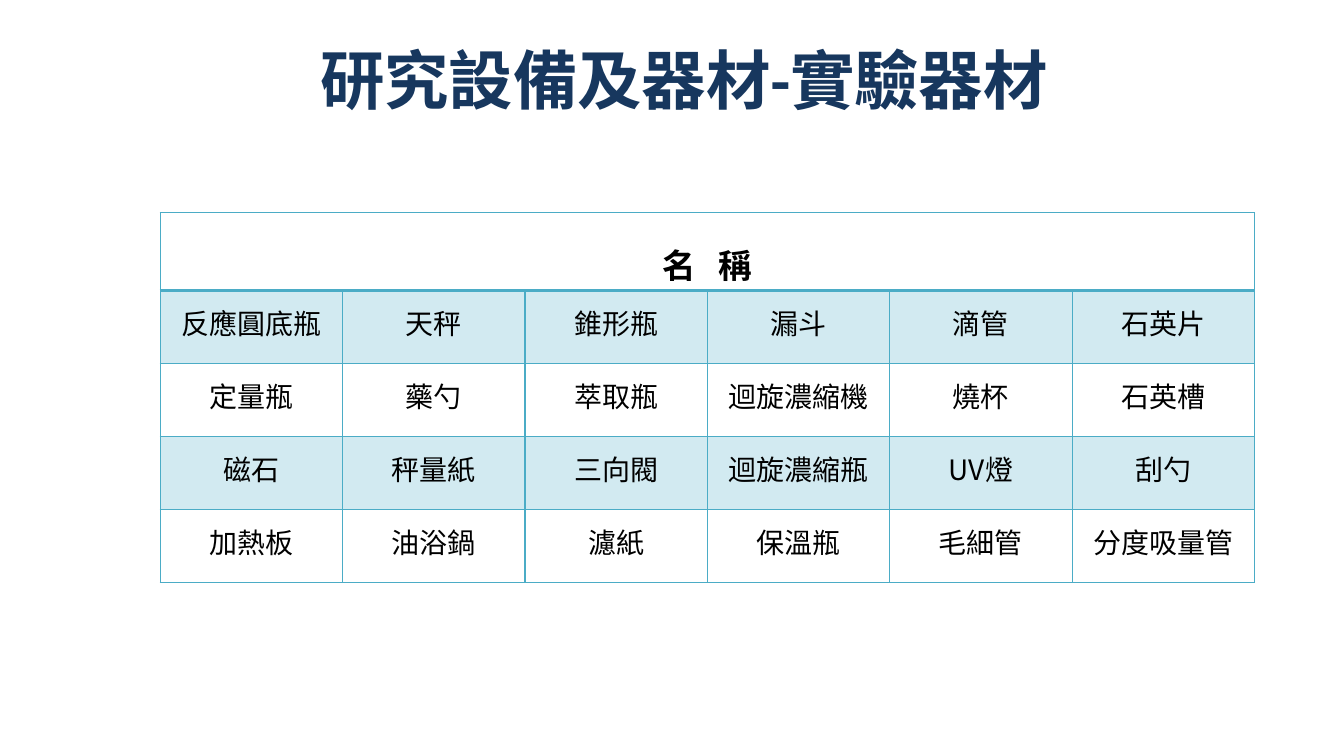
from pptx import Presentation
from pptx.dml.color import RGBColor
from pptx.enum.text import MSO_ANCHOR, PP_ALIGN
from pptx.oxml import parse_xml
from pptx.oxml.ns import nsdecls
from pptx.util import Cm, Pt

CJK = "Noto Sans CJK SC"
BORDER, BAND = "4BACC6", "D2EAF1"
EQUIPMENT = [
    ["反應圓底瓶", "天秤", "錐形瓶", "漏斗", "滴管", "石英片"],
    ["定量瓶", "藥勺", "萃取瓶", "迴旋濃縮機", "燒杯", "石英槽"],
    ["磁石", "秤量紙", "三向閥", "迴旋濃縮瓶", "UV燈", "刮勺"],
    ["加熱板", "油浴鍋", "濾紙", "保溫瓶", "毛細管", "分度吸量管"],
]


def rgb(value):
    return RGBColor.from_string(value)


def write(tf, text, size, font=CJK, color="000000", bold=False,
          line=None, spacing=None):
    """Write one centred paragraph; spacing is between letters, in points."""
    tf.word_wrap = True
    p = tf.paragraphs[0]
    p.alignment = PP_ALIGN.CENTER
    if line:
        p.line_spacing = line
    r = p.add_run()
    r.text = text
    r.font.size, r.font.bold, r.font.name = Pt(size), bold, font
    r.font.color.rgb = rgb(color)
    rPr = r.font._element
    if spacing:
        rPr.set("spc", str(round(spacing * 100)))
    rPr.find("{*}latin").addnext(
        parse_xml(f'<a:ea {nsdecls("a")} typeface="{CJK}"/>'))


def format_cell(cell, fill=None, top=1, bottom=1):
    """Set the borders (widths in points), fill and margins of a cell."""
    tcPr = cell._tc.get_or_add_tcPr()
    for side, width in (("L", 1), ("R", 1), ("T", top), ("B", bottom)):
        tcPr.append(parse_xml(
            f'<a:ln{side} {nsdecls("a")} w="{Pt(width)}"><a:solidFill>'
            f'<a:srgbClr val="{BORDER}"/></a:solidFill></a:ln{side}>'))
    if fill:
        cell.fill.solid()
        cell.fill.fore_color.rgb = rgb(fill)
    else:
        cell.fill.background()
    cell.margin_left = cell.margin_right = Cm(0.18)
    cell.margin_top = cell.margin_bottom = 0
    cell.vertical_anchor = MSO_ANCHOR.MIDDLE


def add_title(s, text):
    sp = s.shapes.title
    sp.left, sp.top, sp.width, sp.height = Cm(3.05), Cm(1), Cm(28.37), Cm(1.98)
    sp.text_frame.vertical_anchor = MSO_ANCHOR.MIDDLE
    write(sp.text_frame, text, 46, font="Calibri", color="17375E", bold=True)


def add_equipment_table(s, heading, rows):
    n_rows, n_cols = len(rows) + 1, len(rows[0])
    head_h, row_h = Cm(1.96), Cm(1.84)
    table = s.shapes.add_table(n_rows, n_cols, Cm(4.04), Cm(5.36), Cm(27.58),
                               head_h + row_h * len(rows)).table
    table.first_row = table.horz_banding = False
    for row in table.rows:
        row.height = row_h
    table.rows[0].height = head_h

    # Heading across all columns
    for cell in table.rows[0].cells:
        format_cell(cell, bottom=2.25)
    table.cell(0, 0).merge(table.cell(0, n_cols - 1))
    write(table.cell(0, 0).text_frame, heading, 24, bold=True, line=1.5,
          spacing=5.4)

    # Banded body
    for i, names in enumerate(rows, 1):
        for j, name in enumerate(names):
            cell = table.cell(i, j)
            format_cell(cell, fill=BAND if i % 2 else None,
                        top=2.25 if i == 1 else 1)
            write(cell.text_frame, name, 20, line=Pt(22))


def main():
    prs = Presentation()
    prs.slide_width, prs.slide_height = Cm(33.87), Cm(19.05)
    s = prs.slides.add_slide(prs.slide_layouts[5])
    add_equipment_table(s, "名 稱", EQUIPMENT)
    add_title(s, "研究設備及器材-實驗器材")
    prs.save("out.pptx")


if __name__ == "__main__":
    main()
